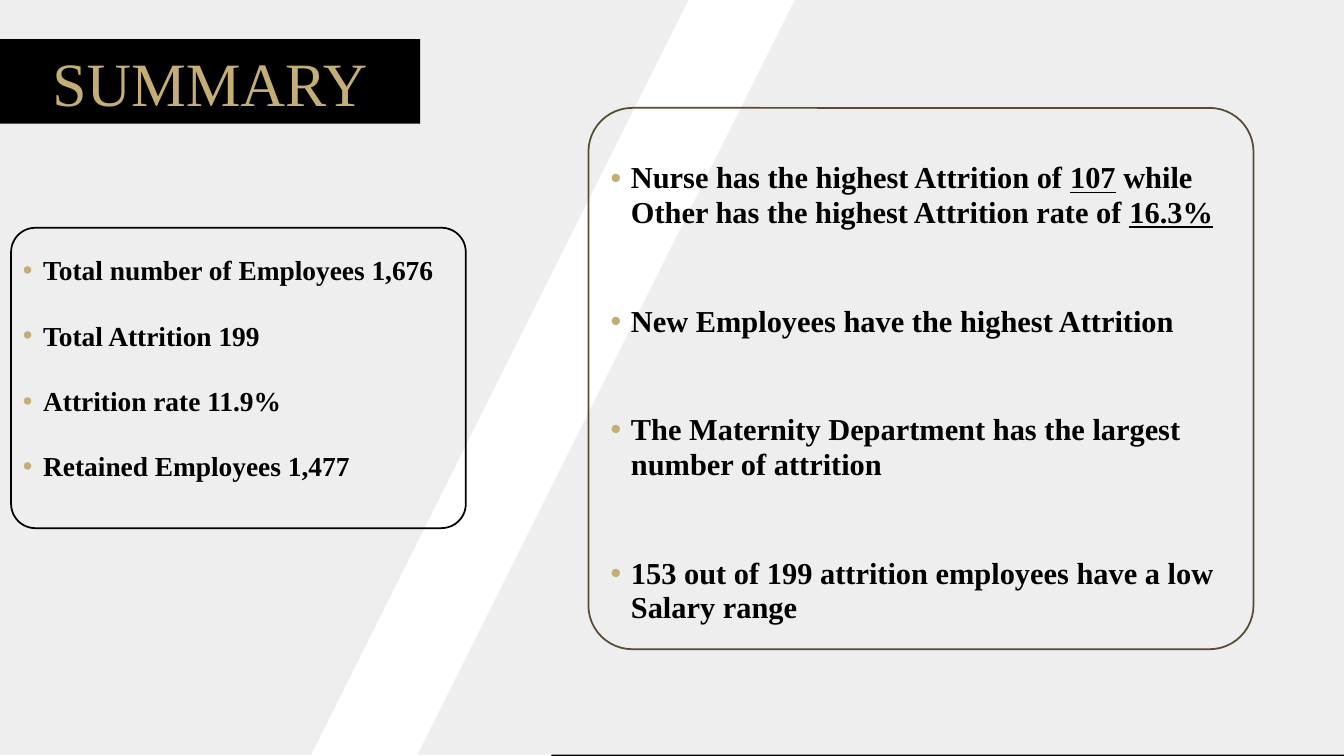
import pptx
import pptx.util
import pptx.dml.color
import pptx.enum.shapes
import pptx.enum.text
import pptx.oxml
import pptx.oxml.ns
import lxml.etree

Cm = pptx.util.Cm
Pt = pptx.util.Pt
KIND = pptx.enum.shapes.MSO_SHAPE
FACE = "Times New Roman"
GOLD = "C4AE75"
WIDE, HIGH = 33.87, 19.05


def hue(code):
    """Turn a hex string into a colour."""
    return pptx.dml.color.RGBColor.from_string(code)


def style(item, form):
    """Set each attribute of item from a dict of values."""
    for name, value in form.items():
        setattr(item, name, value)


def paint(shape, fill=None, line=None):
    """Give a shape its fill and line, or none, and no shadow."""
    shape.shadow.inherit = False
    if fill:
        shape.fill.solid()
        shape.fill.fore_color.rgb = hue(fill)
    else:
        shape.fill.background()
    if line:
        shape.line.color.rgb = hue(line)
        shape.line.width = Pt(1.25)
    else:
        shape.line.fill.background()


def block(slide, kind, box, adjust=None, **look):
    """Place a preset shape in the given box."""
    shape = slide.shapes.add_shape(kind, *map(Cm, box))
    if adjust is not None:
        shape.adjustments[0] = adjust
    paint(shape, **look)
    return shape


def write(para, text, size, color, **form):
    """Add a run of text to a paragraph."""
    run = para.add_run()
    run.text = text
    style(run.font, {"name": FACE, "size": Pt(size), **form})
    run.font.color.rgb = hue(color)


def bullet(para):
    """Give a paragraph a gold bullet with a hanging indent."""
    props = para._p.get_or_add_pPr()
    props.set("marL", str(Cm(0.51)))
    props.set("indent", str(-Cm(0.51)))
    make = lxml.etree.SubElement
    name = pptx.oxml.ns.qn
    tint = make(props, name("a:buClr"))
    make(tint, name("a:srgbClr"), val="C5AE76")
    make(props, name("a:buFont"), typeface="Arial")
    make(props, name("a:buChar"), char="•")


def back(slide, box):
    """Draw the dark edge, the grey field and the white slanted band."""
    left, top, width, height = box
    right, base = left + width, top + height
    points = [(left + 23.52, top), (right, top), (right, base), (left + 13.89, base)]
    points = [(Cm(x), Cm(y)) for x, y in points]
    maker = slide.shapes.build_freeform(*points[0])
    maker.add_line_segments(points[1:], close=True)
    paint(maker.convert_to_shape(), fill="000000")
    block(slide, KIND.RECTANGLE, (left, top, width, height - 0.03), fill="EEEEEE")
    band = (left + 7.85, top - 0.03, 12.19, height)
    block(slide, KIND.PARALLELOGRAM, band, 0.781, fill="FFFFFF")


def title(slide, box, text):
    """Draw the title bar."""
    frame = block(slide, KIND.RECTANGLE, box, fill="000000").text_frame
    frame.vertical_anchor = pptx.enum.text.MSO_ANCHOR.MIDDLE
    para = frame.paragraphs[0]
    para.alignment = pptx.enum.text.PP_ALIGN.CENTER
    write(para, text, 44, GOLD)


def panel(slide, box, inset, lines, size, form, edge):
    """Draw a rounded frame with a bulleted list; odd parts of a line are underlined."""
    left, top, width, height = box
    dx, dy, wide = inset
    area = (left + dx, top + dy, wide, height - dy)
    frame = slide.shapes.add_textbox(*map(Cm, area)).text_frame
    style(frame, {"word_wrap": True, "margin_left": 0, "margin_right": 0})
    for index, parts in enumerate(lines):
        para = frame.add_paragraph() if index else frame.paragraphs[0]
        style(para, form)
        bullet(para)
        for order, part in enumerate(parts):
            write(para, part, size, "000000", bold=True, underline=order % 2 == 1)
    block(slide, KIND.ROUNDED_RECTANGLE, box, 0.081, line=edge)


TOTALS = [
    ["Total number of Employees 1,676"],
    ["Total Attrition 199"],
    ["Attrition rate 11.9%"],
    ["Retained Employees 1,477"],
]
FINDS = [
    ["Nurse has the highest Attrition of ", "107",
     " while Other has the highest Attrition rate of ", "16.3%"],
    ["New Employees have the highest Attrition"],
    ["The Maternity Department has the largest number of attrition"],
    ["153 out of 199 attrition employees have a low Salary range"],
]


def main():
    """Build the summary slide and save it."""
    deck = pptx.Presentation()
    style(deck, {"slide_width": Cm(WIDE), "slide_height": Cm(HIGH)})
    slide = deck.slides.add_slide(deck.slide_layouts[6])
    back(slide, (0, 0, WIDE, HIGH))
    title(slide, (0, 0.99, 10.59, 2.13), "SUMMARY")
    panel(slide, (0.28, 5.74, 11.46, 7.57), (0.3, 0.23, 11.46), TOTALS, 19.6,
          {"line_spacing": 1.35, "space_after": Pt(15)}, "000000")
    panel(slide, (14.83, 2.72, 16.76, 13.64), (0.56, 1.22, 15.77), FINDS, 21.7,
          {"line_spacing": 0.95, "space_after": Pt(52.8)}, "564C33")
    deck.save("out.pptx")


if __name__ == "__main__":
    main()
